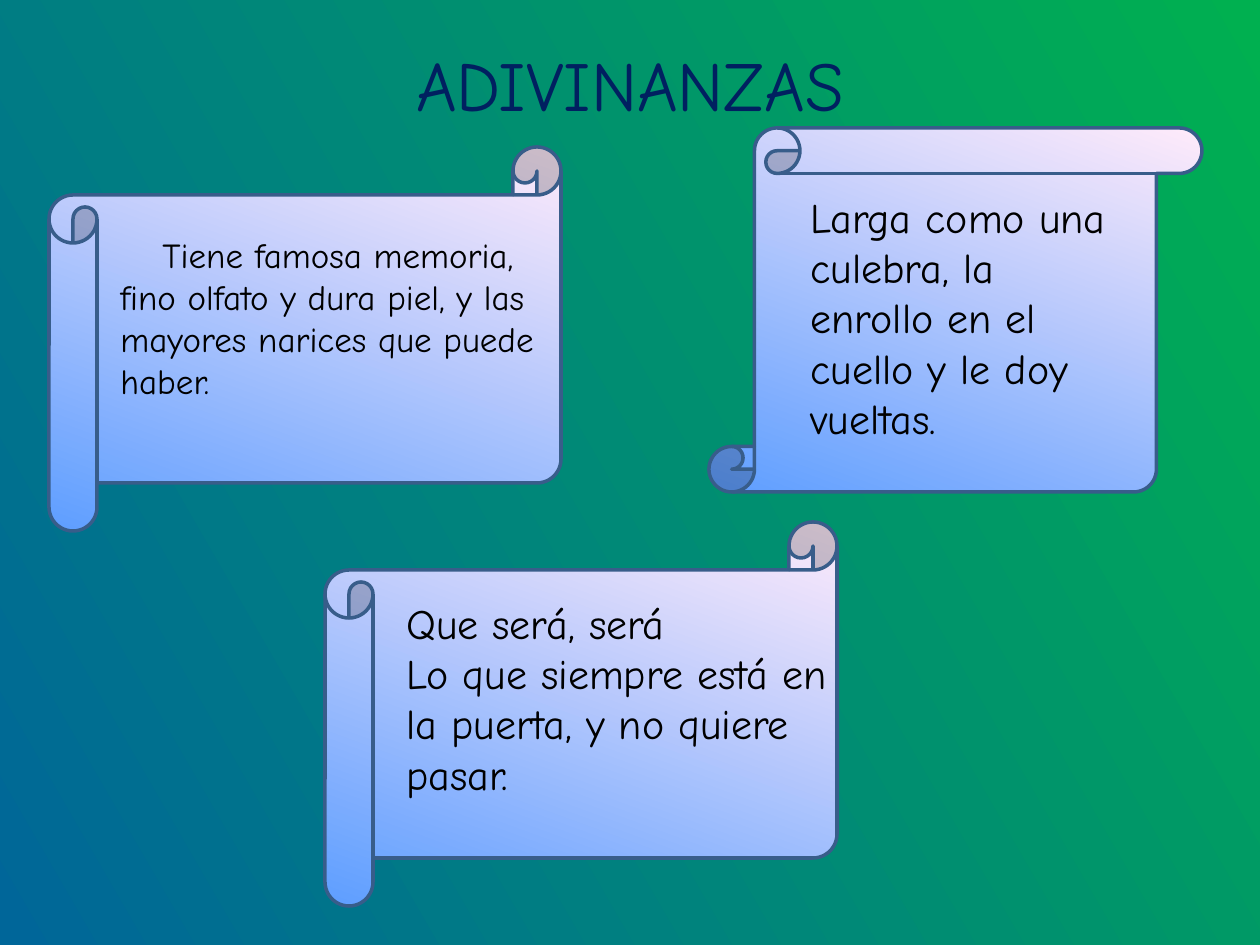
import pptx
import pptx.util
import pptx.dml.color
import pptx.enum.shapes
import pptx.enum.text

RGB = pptx.dml.color.RGBColor
KIND = pptx.enum.shapes.MSO_SHAPE
FIT = pptx.enum.text.MSO_AUTO_SIZE

GREEN = RGB(0x00, 0xB0, 0x50)
TEAL = RGB(0x00, 0x66, 0x99)
SKY = RGB(0x5E, 0x9E, 0xFF)
PINK = RGB(0xFF, 0xEB, 0xFA)
EDGE = RGB(0x38, 0x5D, 0x8A)
NAVY = RGB(0x00, 0x20, 0x60)
BLACK = RGB(0x00, 0x00, 0x00)
FONT = "Comic Neue"

TITLE = ("ADIVINANZAS", (63, 38, 1134, 91))
WIDE = KIND.HORIZONTAL_SCROLL
TALL = KIND.VERTICAL_SCROLL
RIDDLES = [
    {"kind": WIDE, "scroll": (325, 522, 512, 384), "box": (394, 591, 452, 214),
     "size": 24, "indent": 0,
     "lines": ["Que será, será",
               "Lo que siempre está en la puerta, y no quiere pasar."]},
    {"kind": WIDE, "scroll": (49, 147, 512, 384), "box": (108, 227, 452, 181),
     "size": 20, "indent": 42,
     "lines": ["Tiene famosa memoria, fino olfato y dura piel, "
               "y las mayores narices que puede haber."]},
    {"kind": TALL, "scroll": (709, 128, 493, 364), "box": (798, 185, 343, 265),
     "size": 24, "indent": 0,
     "lines": ["Larga como una culebra, la enrollo en el cuello "
               "y le doy vueltas."]},
]


def px(n):
    return pptx.util.Emu(round(n * 914400 / 126))


def place(rect):
    return [px(n) for n in rect]


def blend(fill, start, end, angle):
    fill.gradient()
    fill.gradient_angle = angle
    for stop, color in zip(fill.gradient_stops, (start, end)):
        stop.color.rgb = color


def write(para, text, size, color):
    run = para.add_run()
    run.text = text
    run.font.name = FONT
    run.font.size = pptx.util.Pt(size)
    run.font.color.rgb = color


def add_scroll(slide, kind, rect):
    scroll = slide.shapes.add_shape(kind, *place(rect))
    scroll.shadow.inherit = False
    scroll.adjustments[0] = 0.125
    blend(scroll.fill, SKY, PINK, 70)
    scroll.line.color.rgb = EDGE
    scroll.line.width = pptx.util.Pt(2)


def add_text(slide, rect, lines, size, indent):
    frame = slide.shapes.add_textbox(*place(rect)).text_frame
    frame.word_wrap = True
    frame.auto_size = FIT.SHAPE_TO_FIT_TEXT
    for i, line in enumerate(lines):
        para = frame.add_paragraph() if i else frame.paragraphs[0]
        if indent:
            para._p.get_or_add_pPr().set("indent", str(px(indent)))
        write(para, line, size, BLACK)


def add_title(slide, text, rect):
    title = slide.shapes.title
    title.left, title.top, title.width, title.height = place(rect)
    frame = title.text_frame
    frame.auto_size = FIT.NONE
    frame.vertical_anchor = pptx.enum.text.MSO_ANCHOR.MIDDLE
    para = frame.paragraphs[0]
    para.alignment = pptx.enum.text.PP_ALIGN.CENTER
    write(para, text, 40, NAVY)


def main():
    deck = pptx.Presentation()
    deck.slide_width, deck.slide_height = px(1260), px(945)
    slide = deck.slides.add_slide(deck.slide_layouts[5])
    blend(slide.background.fill, GREEN, TEAL, 210)
    add_title(slide, *TITLE)
    for item in RIDDLES:
        add_scroll(slide, item["kind"], item["scroll"])
    for item in RIDDLES:
        add_text(slide, item["box"], item["lines"], item["size"], item["indent"])
    deck.save("out.pptx")


if __name__ == "__main__":
    main()
